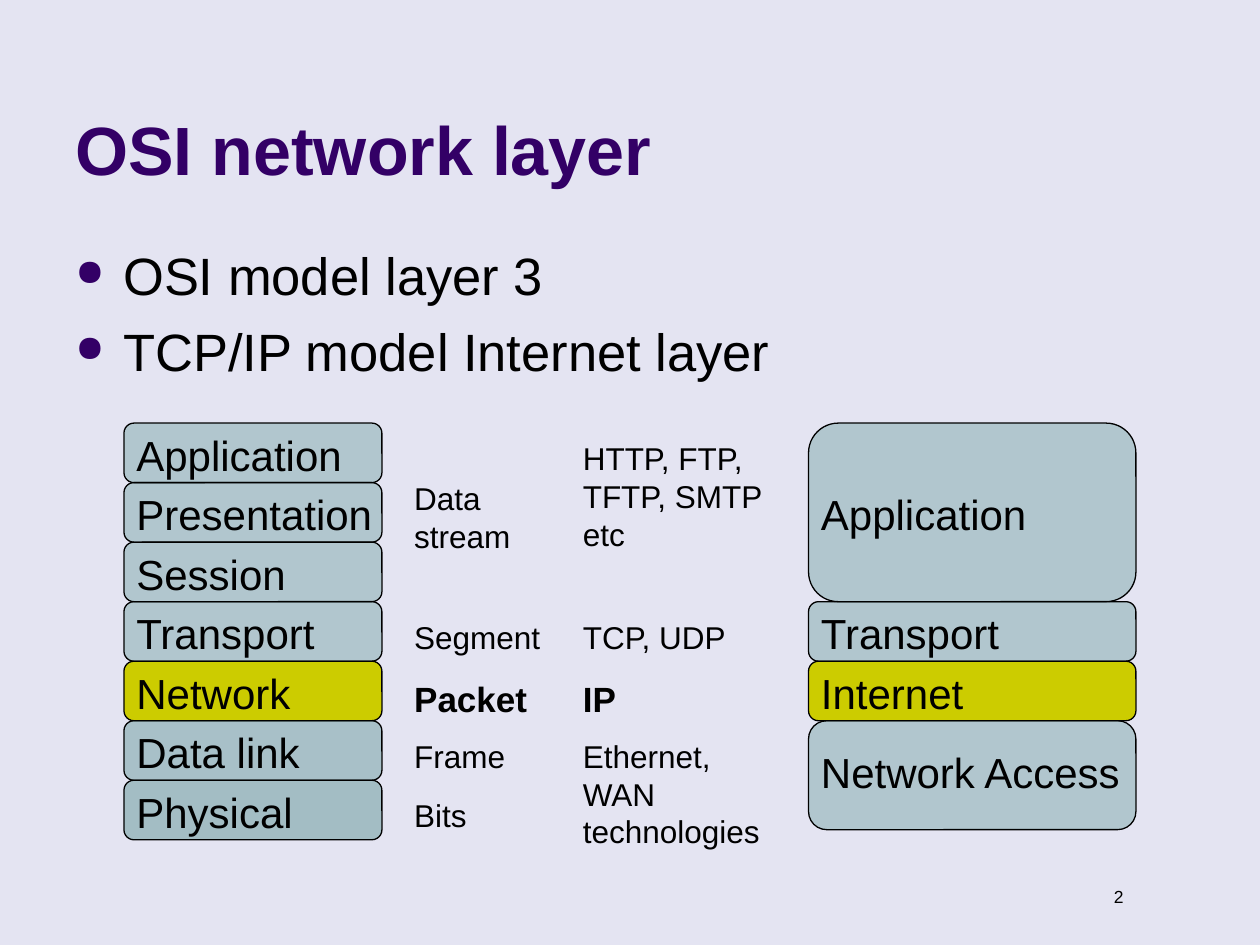
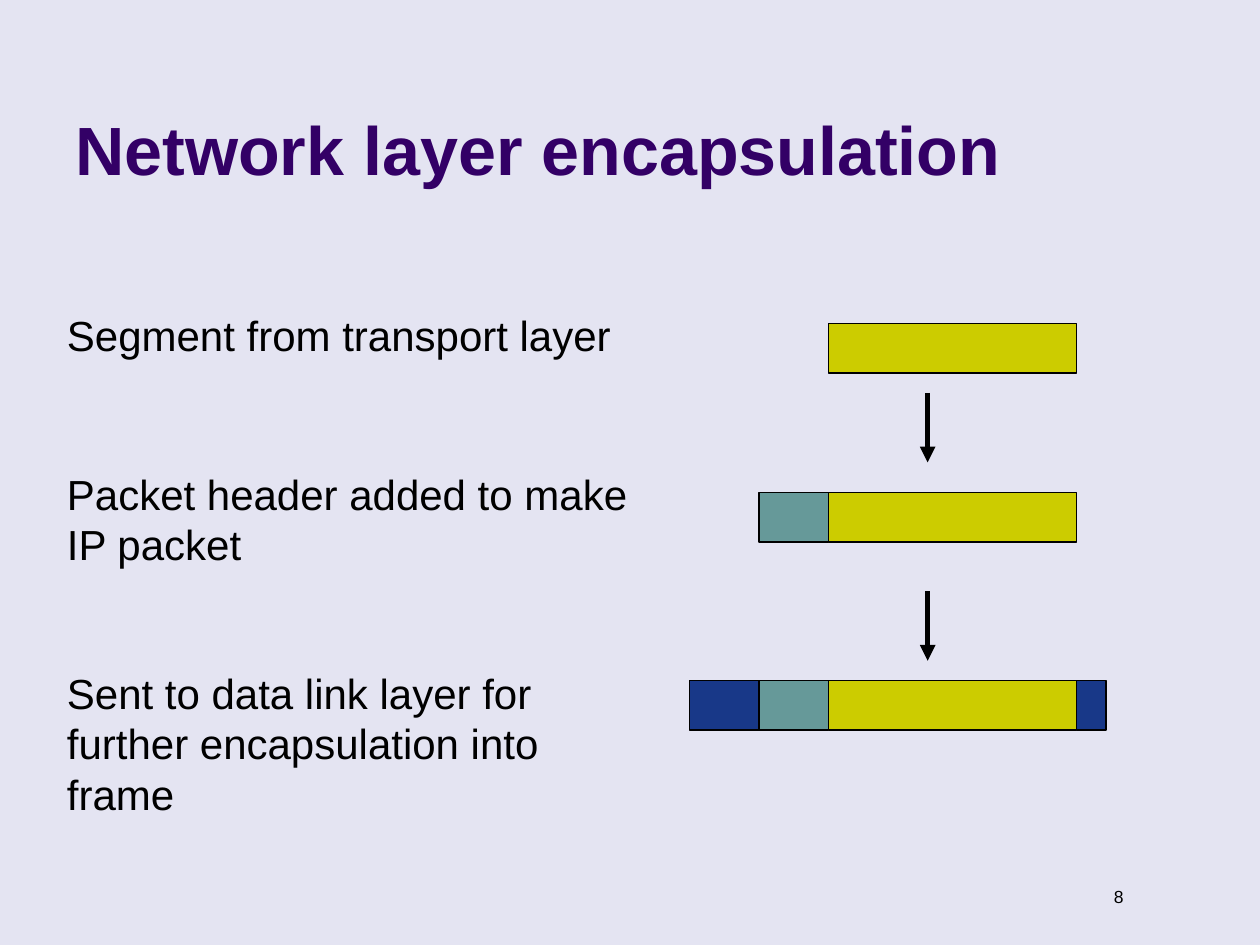
from dataclasses import dataclass
from itertools import accumulate

from lxml import etree
from pptx import Presentation
from pptx.dml.color import RGBColor
from pptx.enum.shapes import MSO_CONNECTOR, MSO_SHAPE
from pptx.enum.text import MSO_ANCHOR, PP_ALIGN
from pptx.oxml.ns import qn
from pptx.util import Cm, Inches, Length, Pt

RECTANGLE = MSO_SHAPE.RECTANGLE
ROUNDED = MSO_SHAPE.ROUNDED_RECTANGLE
STRAIGHT = MSO_CONNECTOR.STRAIGHT
TOP, BOTTOM = MSO_ANCHOR.TOP, MSO_ANCHOR.BOTTOM
LEFT, RIGHT = PP_ALIGN.LEFT, PP_ALIGN.RIGHT

COLORS = {
    "background": "E4E4F2",
    "title": "330066",
    "text": "000000",
    "line": "000000",
    "teal": "669999",
    "yellow": "CCCC00",
    "navy": "183888",
}
FONT = "Arial"
CELL = Cm(0.2)
LAYER_CELLS = 6
STACK_TOP = 42.65
LABEL_CELLS = 6.35


@dataclass(frozen=True)
class Layer:
    name: str
    row: float
    rows: float = 1
    color: str = "teal"
    opacity: int = 40
    label_row: float | None = None


@dataclass(frozen=True)
class Stack:
    column: float
    columns: float
    label_columns: float
    layers: tuple[Layer, ...]


@dataclass(frozen=True)
class Note:
    text: str
    column: float
    row: float
    columns: float = 18
    lines: int = 1
    bold: bool = False


@dataclass(frozen=True)
class Part:
    columns: float
    color: str


@dataclass(frozen=True)
class Step:
    caption: str
    caption_row: float
    caption_rows: float
    bar_row: float
    first: int
    last: int


OSI = Stack(12.5, 26, 28, (
    Layer("Application", 0),
    Layer("Presentation", 1),
    Layer("Session", 2),
    Layer("Transport", 3),
    Layer("Network", 4, color="yellow", opacity=100),
    Layer("Data link", 5, opacity=47),
    Layer("Physical", 6, opacity=51),
))
TCP_IP = Stack(81.5, 33, 34, (
    Layer("Application", 0, rows=3, label_row=1),
    Layer("Transport", 3),
    Layer("Internet", 4, color="yellow", opacity=100),
    Layer("Network Access", 5, rows=1.83, label_row=5.33),
))
UNIT_COLUMN, PROTOCOL_COLUMN = 40.5, 57.5
NOTES = (
    Note("TCP, UDP", PROTOCOL_COLUMN, 3),
    Note("IP", PROTOCOL_COLUMN, 4, bold=True),
    Note("Ethernet, WAN technologies", PROTOCOL_COLUMN, 5, columns=21, lines=3),
    Note("HTTP, FTP, TFTP, SMTP etc", PROTOCOL_COLUMN, 0, columns=22, lines=3),
    Note("Segment", UNIT_COLUMN, 3),
    Note("Packet", UNIT_COLUMN, 4, bold=True),
    Note("Frame", UNIT_COLUMN, 5),
    Note("Bits", UNIT_COLUMN, 6),
    Note("Data stream", UNIT_COLUMN, 0.67, lines=2),
)

FRAME_LEFT = 69.5
FRAME_PARTS = (Part(7, "navy"), Part(7, "teal"), Part(25, "yellow"), Part(3, "navy"))
STEPS = (
    Step("Segment from transport layer", 30.6, 6.35, 32.6, 2, 3),
    Step("Packet header added to make IP packet", 46.6, 11.4, 49.65, 1, 3),
    Step("Sent to data link layer for further encapsulation into frame",
         66.65, 16.5, 68.6, 0, 4),
)
ARROW_COLUMN, ARROW_ROWS, ARROW_LENGTH = 93.5, (39.6, 59.6), 7


def cells(*counts: float) -> list[Length]:
    return [Length(round(count * CELL)) for count in counts]


def rgb(name: str) -> RGBColor:
    return RGBColor.from_string(COLORS[name])


def add_bullet(para) -> None:
    properties = para._p.get_or_add_pPr()
    properties.set("marL", str(Inches(0.38)))
    properties.set("indent", str(-Inches(0.38)))
    color = etree.SubElement(properties, qn("a:buClr"))
    etree.SubElement(color, qn("a:srgbClr"), val=COLORS["title"])
    etree.SubElement(properties, qn("a:buSzPct"), val="70000")
    etree.SubElement(properties, qn("a:buChar"), char="●")


def add_text(page, text: str, column: float, row: float, columns: float, rows: float,
             *, size: float = 24, color: str = "text", bold: bool = False,
             align=LEFT, anchor=TOP, bullets: bool = False,
             gap: float = 0) -> None:
    box = page.shapes.add_textbox(*cells(column, row, columns, rows))
    frame = box.text_frame
    frame.word_wrap = True
    frame.vertical_anchor = anchor
    for index, line in enumerate(text.split("\n")):
        para = frame.add_paragraph() if index else frame.paragraphs[0]
        para.alignment = align
        if index:
            para.space_before = Pt(gap)
        if bullets:
            add_bullet(para)
        span = para.add_run()
        span.text = line
        span.font.name = FONT
        span.font.size = Pt(size)
        span.font.bold = bold
        span.font.color.rgb = rgb(color)


def add_block(page, kind, column: float, row: float, columns: float, rows: float,
              color: str, opacity: int = 100) -> None:
    block = page.shapes.add_shape(kind, *cells(column, row, columns, rows))
    block.shadow.inherit = False
    block.fill.solid()
    block.fill.fore_color.rgb = rgb(color)
    block.line.color.rgb = rgb("line")
    block.line.width = Pt(0.75)
    if opacity < 100:
        fill = block._element.spPr.find(qn("a:solidFill"))
        etree.SubElement(fill[0], qn("a:alpha"), val=str(opacity * 1000))


def add_arrow(page, column: float, row: float, length: float) -> None:
    arrow = page.shapes.add_connector(STRAIGHT, *cells(column, row, column, row + length))
    arrow.line.color.rgb = rgb("line")
    arrow.line.width = Pt(3)
    etree.SubElement(arrow.line._get_or_add_ln(), qn("a:tailEnd"), type="triangle")
    etree.SubElement(arrow._element.spPr, qn("a:effectLst"))


def add_page(deck, title: str, number: int):
    page = deck.slides.add_slide(deck.slide_layouts[6])
    page.background.fill.solid()
    page.background.fill.fore_color.rgb = rgb("background")
    add_text(page, str(number), 106.5, 88.65, 8, 3.5, size=10, align=RIGHT)
    add_text(page, title, 6.35, 1.65, 104.8, 18, size=39, color="title",
             bold=True, anchor=BOTTOM)
    return page


def layer_row(row: float) -> float:
    return STACK_TOP + row * LAYER_CELLS


def add_stack(page, stack: Stack) -> None:
    for layer in stack.layers:
        add_block(page, ROUNDED, stack.column, layer_row(layer.row), stack.columns,
                  layer.rows * LAYER_CELLS, layer.color, layer.opacity)
    for layer in stack.layers:
        row = layer.row if layer.label_row is None else layer.label_row
        add_text(page, layer.name, stack.column, layer_row(row),
                 stack.label_columns, LABEL_CELLS)


def build_layers(deck) -> None:
    page = add_page(deck, "OSI network layer", 2)
    add_text(page, "OSI model layer 3\nTCP/IP model Internet layer",
             6.35, 23.9, 116.2, 19.8, size=30, bullets=True, gap=7.5)
    for stack in (OSI, TCP_IP):
        add_stack(page, stack)
    for note in NOTES:
        add_text(page, note.text, note.column, layer_row(note.row) + 1, note.columns,
                 1.3 + 3.8 * note.lines, size=20 if note.bold else 18, bold=note.bold)


def build_encapsulation(deck) -> None:
    page = add_page(deck, "Network layer encapsulation", 8)
    lefts = list(accumulate((part.columns for part in FRAME_PARTS), initial=FRAME_LEFT))
    for step in STEPS:
        add_text(page, step.caption, 5.5, step.caption_row, 60, step.caption_rows)
        for index in range(step.first, step.last):
            part = FRAME_PARTS[index]
            add_block(page, RECTANGLE, lefts[index], step.bar_row, part.columns, 5,
                      part.color)
    for row in ARROW_ROWS:
        add_arrow(page, ARROW_COLUMN, row, ARROW_LENGTH)


def main() -> None:
    deck = Presentation()
    deck.slide_width, deck.slide_height = Inches(10), Inches(7.5)
    build_layers(deck)
    build_encapsulation(deck)
    deck.save("out.pptx")


if __name__ == "__main__":
    main()
